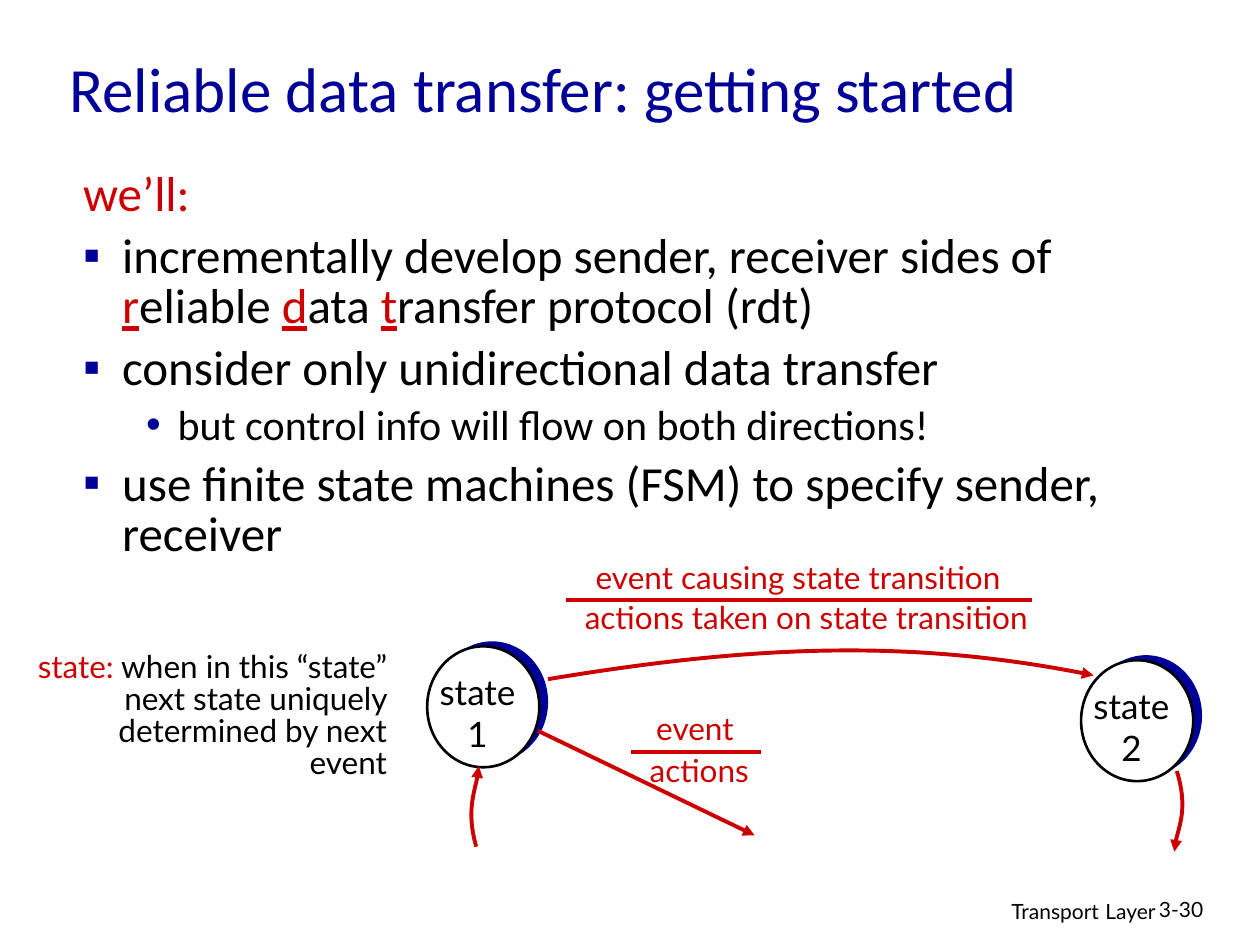
from dataclasses import dataclass
from typing import Optional

from lxml import etree
from pptx import Presentation
from pptx import util as u
from pptx.dml.color import RGBColor
from pptx.enum import shapes, text
from pptx.oxml import ns


@dataclass(frozen=True)
class Theme:
    blue: str = "000099"
    red: str = "CC0000"
    black: str = "000000"
    white: str = "FFFFFF"
    heading_font: str = "Calibri"
    label_font: str = "Lato"
    title: float = 36
    body: float = 28
    sub_body: float = 24
    state: float = 20
    label: float = 18
    footer_gap: float = 14
    footer: float = 12
    arrow_line: float = 2.25
    state_line: float = 1.5


THEME = Theme()
LEFT, CENTER, RIGHT = text.PP_ALIGN.LEFT, text.PP_ALIGN.CENTER, text.PP_ALIGN.RIGHT


@dataclass(frozen=True)
class Span:
    text: str
    color: str = THEME.black
    underline: bool = False
    size: Optional[float] = None


@dataclass(frozen=True)
class Item:
    spans: tuple
    bullet: Optional[str] = "▪"
    level: int = 0
    size: float = THEME.body
    indent: float = 0.31
    hanging: float = 0.31
    before: float = 7


@dataclass(frozen=True)
class Label:
    spans: tuple
    left: float
    top: float
    width: float
    height: float = 0.4


@dataclass(frozen=True)
class State:
    name: str
    left: float
    top: float


def initial(letter):
    return Span(letter, THEME.red, underline=True)


ITEMS = (
    Item((Span("we’ll:", THEME.red),), bullet=None, before=0),
    Item((Span("incrementally develop sender, receiver sides of "),
          initial("r"), Span("eliable "), initial("d"), Span("ata "),
          initial("t"), Span("ransfer protocol (rdt)"))),
    Item((Span("consider only unidirectional data transfer"),)),
    Item((Span("but control info will flow on both directions!"),), bullet="•",
         level=1, size=THEME.sub_body, indent=0.75, hanging=0.25, before=6),
    Item((Span("use finite state machines (FSM) to specify sender, receiver"),)),
)
STATES = (State("1", 3.39, 5.13), State("2", 8.58, 5.24))
TRANSITION_LABELS = (
    Label((Span("event causing state transition", THEME.red),), 4.5, 4.38, 3.67),
    Label((Span("actions taken on state transition", THEME.red),), 4.41, 4.7, 3.98),
    Label((Span("event", THEME.red),), 5.09, 5.58, 0.85),
    Label((Span("actions", THEME.red),), 5.03, 5.91, 1.04),
)
STATE_NOTE = Label(
    (Span("state:", THEME.red),
     Span(" when in this “state” next state uniquely determined by next event")),
    0.14, 5.13, 3.03, 1.35)
FOOTER = Label((Span("Transport"), Span(" ", size=THEME.footer_gap), Span("Layer")),
               6.1, 7.05, 3.17, 0.31)
PAGE_NUMBER = Label((Span("3-30"),), 9.1, 7.07, 0.74, 0.3)

# start, two control points, end
CURVES = (
    ((4.35, 5.39), (5.97, 5.12), (7.26, 5.07), (8.68, 5.36)),
    ((3.78, 6.72), (3.7, 6.44), (3.8, 6.18), (3.8, 6.08)),
    ((9.34, 6.12), (9.43, 6.41), (9.32, 6.66), (9.32, 6.76)),
)
DIVIDERS = (((4.49, 4.76), (8.19, 4.76)), ((5.01, 5.97), (6.04, 5.97)))
EXIT_ARROW = ((4.27, 5.8), (5.99, 6.63))


def rgb(color: str) -> RGBColor:
    return RGBColor.from_string(color)


def place(shape, left: float, top: float, width: float, height: float) -> None:
    shape.left, shape.top = u.Inches(left), u.Inches(top)
    shape.width, shape.height = u.Inches(width), u.Inches(height)


def write(para, spans, *, size, font, align=LEFT, spacing=None, before=None,
          indent=0.0, hanging=0.0) -> None:
    para.alignment = align
    if spacing:
        para.line_spacing = spacing
    if before is not None:
        para.space_before = u.Pt(before)
    properties = para._p.get_or_add_pPr()
    properties.set("marL", str(u.Inches(indent)))
    properties.set("indent", str(-u.Inches(hanging)))
    for span in spans:
        run = para.add_run()
        run.text = span.text
        run.font.name = font
        run.font.size = u.Pt(span.size or size)
        run.font.color.rgb = rgb(span.color)
        if span.underline:
            run.font.underline = True


def set_bullet(para, mark: Optional[str]) -> None:
    properties = para._p.get_or_add_pPr()
    if mark is None:
        etree.SubElement(properties, ns.qn("a:buNone"))
        return
    color = etree.SubElement(properties, ns.qn("a:buClr"))
    etree.SubElement(color, ns.qn("a:srgbClr"), val=THEME.blue)
    etree.SubElement(properties, ns.qn("a:buChar"), char=mark)


def add_label(page, label: Label, *, size=THEME.label, wrap=False, **style) -> None:
    box = page.shapes.add_textbox(0, 0, 0, 0)
    place(box, label.left, label.top, label.width, label.height)
    box.text_frame.word_wrap = wrap
    write(box.text_frame.paragraphs[0], label.spans, size=size,
          font=THEME.label_font, **style)


def add_circle(page, left: float, top: float, fill: str, outlined: bool) -> None:
    circle = page.shapes.add_shape(shapes.MSO_SHAPE.OVAL, 0, 0, 0, 0)
    place(circle, left, top, 0.89, 0.96)
    circle.shadow.inherit = False
    circle.fill.solid()
    circle.fill.fore_color.rgb = rgb(fill)
    if outlined:
        circle.line.color.rgb = rgb(THEME.black)
        circle.line.width = u.Pt(THEME.state_line)
    else:
        circle.line.fill.background()


def add_state(page, state: State) -> None:
    add_circle(page, state.left + 0.07, state.top - 0.04, THEME.blue, False)
    add_circle(page, state.left, state.top, THEME.white, True)
    box = page.shapes.add_textbox(0, 0, 0, 0)
    place(box, state.left - 0.02, state.top + 0.14, 0.84, 0.77)
    frame = box.text_frame
    frame.word_wrap = False
    for para, line in ((frame.paragraphs[0], "state"),
                       (frame.add_paragraph(), state.name)):
        write(para, (Span(line),), size=THEME.state, font=THEME.label_font, align=CENTER)


def style_line(line, arrow: bool) -> None:
    line.color.rgb = rgb(THEME.red)
    line.width = u.Pt(THEME.arrow_line)
    if arrow:
        etree.SubElement(line._get_or_add_ln(), ns.qn("a:tailEnd"), type="triangle")


def add_line(page, start, end, arrow=False) -> None:
    line = page.shapes.add_connector(shapes.MSO_CONNECTOR.STRAIGHT,
                                     *map(u.Inches, start + end))
    style_line(line.line, arrow)
    etree.SubElement(line._element.spPr, ns.qn("a:effectLst"))


def add_curve(page, points) -> None:
    """Draw an arrow along a cubic curve, by joining three segments into one."""
    start, *others = [tuple(map(u.Inches, point)) for point in points]
    builder = page.shapes.build_freeform(*start)
    builder.add_line_segments(others, close=False)
    curve = builder.convert_to_shape()
    segments = list(curve._element.iter(ns.qn("a:lnTo")))
    cubic = etree.SubElement(segments[0].getparent(), ns.qn("a:cubicBezTo"))
    for segment in segments:
        cubic.append(segment[0])
        segment.getparent().remove(segment)
    curve.fill.background()
    curve.shadow.inherit = False
    style_line(curve.line, arrow=True)


def fill_placeholders(page) -> None:
    title, body = page.shapes.title, page.placeholders[1]
    place(title, 0.45, 0.21, 8.5, 0.97)
    place(body, 0.56, 1.31, 8.69, 3.67)
    for shape in (title, body):
        shape.text_frame.auto_size = text.MSO_AUTO_SIZE.NONE
    title.text_frame.vertical_anchor = text.MSO_ANCHOR.MIDDLE
    write(title.text_frame.paragraphs[0],
          (Span("Reliable data transfer: getting started", THEME.blue),),
          size=THEME.title, font=THEME.heading_font)
    frame = body.text_frame
    for index, item in enumerate(ITEMS):
        para = frame.add_paragraph() if index else frame.paragraphs[0]
        para.level = item.level
        set_bullet(para, item.bullet)
        write(para, item.spans, size=item.size, font=THEME.heading_font, spacing=0.85,
              before=item.before, indent=item.indent, hanging=item.hanging)


def main() -> None:
    deck = Presentation()
    deck.slide_width, deck.slide_height = u.Inches(10), u.Inches(7.5)
    page = deck.slides.add_slide(deck.slide_layouts[1])
    fill_placeholders(page)
    add_label(page, FOOTER, size=THEME.footer, wrap=True, align=RIGHT)
    add_label(page, PAGE_NUMBER, size=THEME.footer, wrap=True)
    for state in STATES:
        add_state(page, state)
    for points in CURVES:
        add_curve(page, points)
    for label in TRANSITION_LABELS:
        add_label(page, label, align=CENTER)
    add_label(page, STATE_NOTE, wrap=True, align=RIGHT, spacing=0.85,
              indent=0.38, hanging=0.38)
    for start, end in DIVIDERS:
        add_line(page, start, end)
    add_line(page, *EXIT_ARROW, arrow=True)
    deck.save("out.pptx")


if __name__ == "__main__":
    main()
